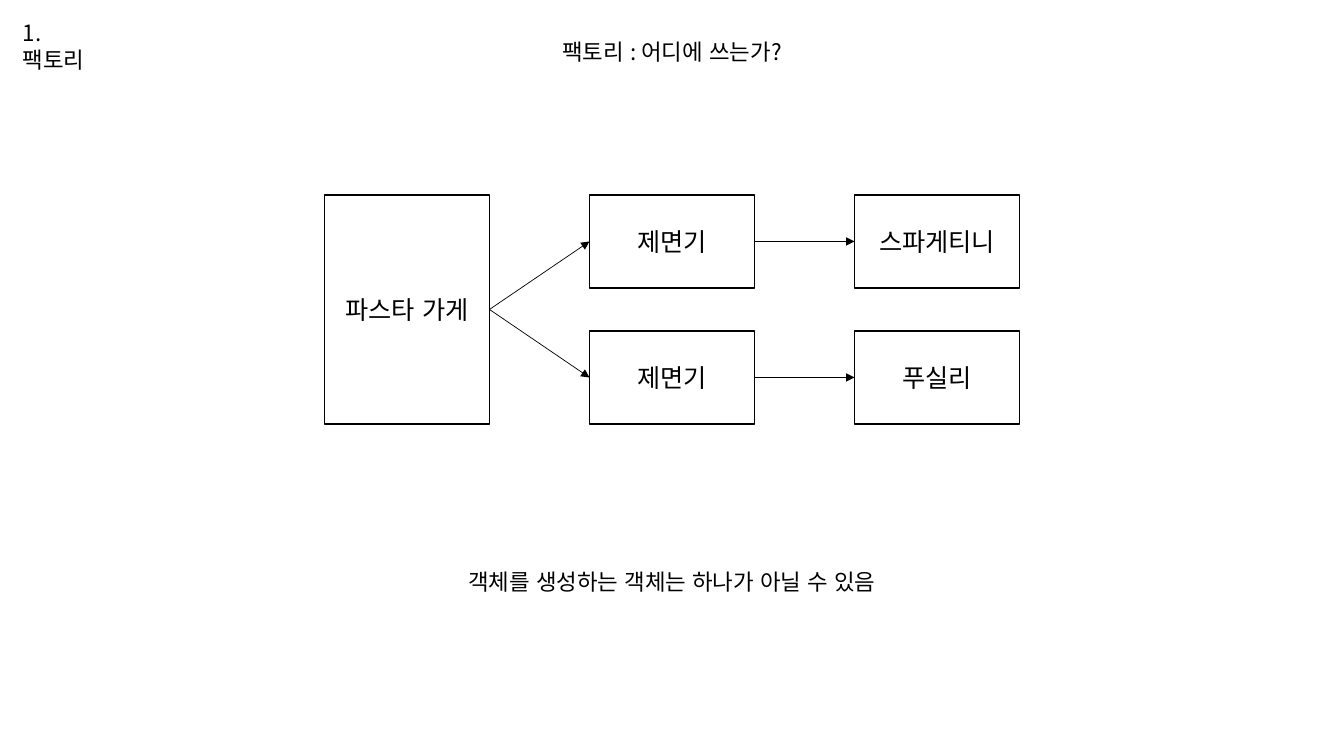
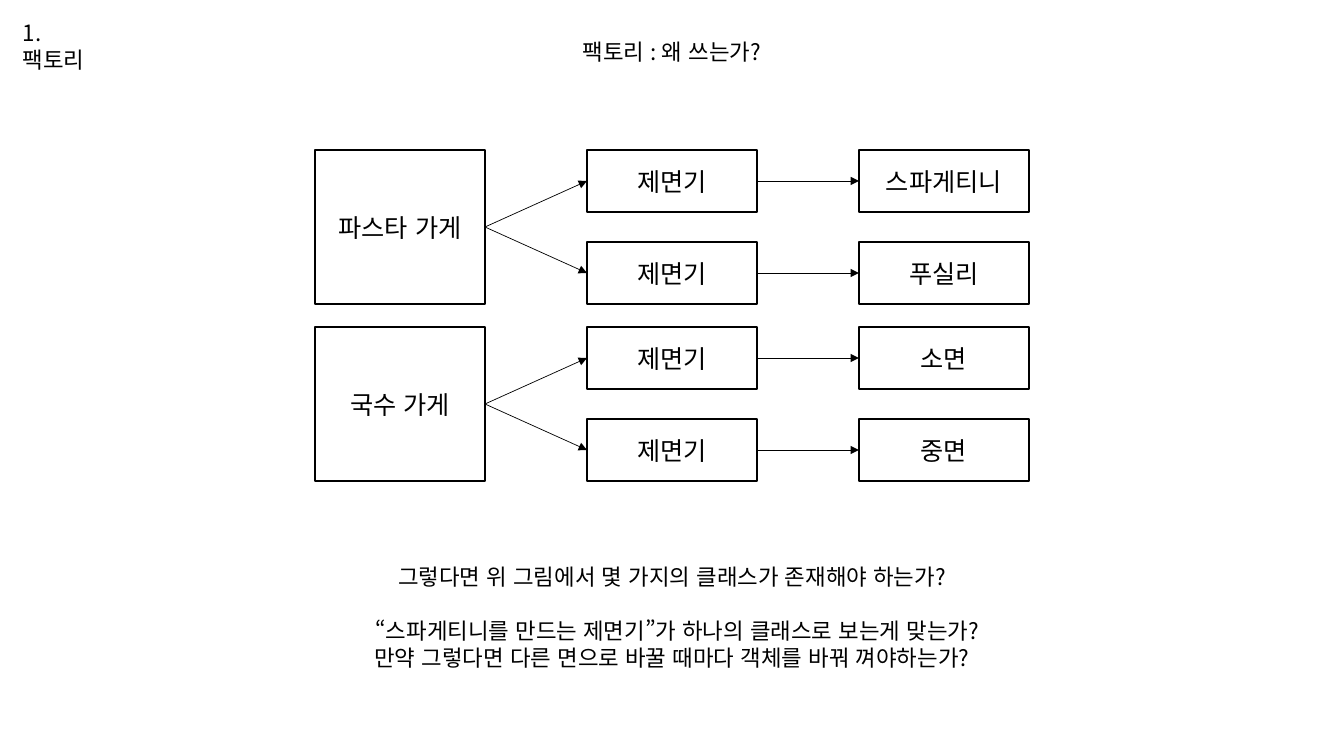
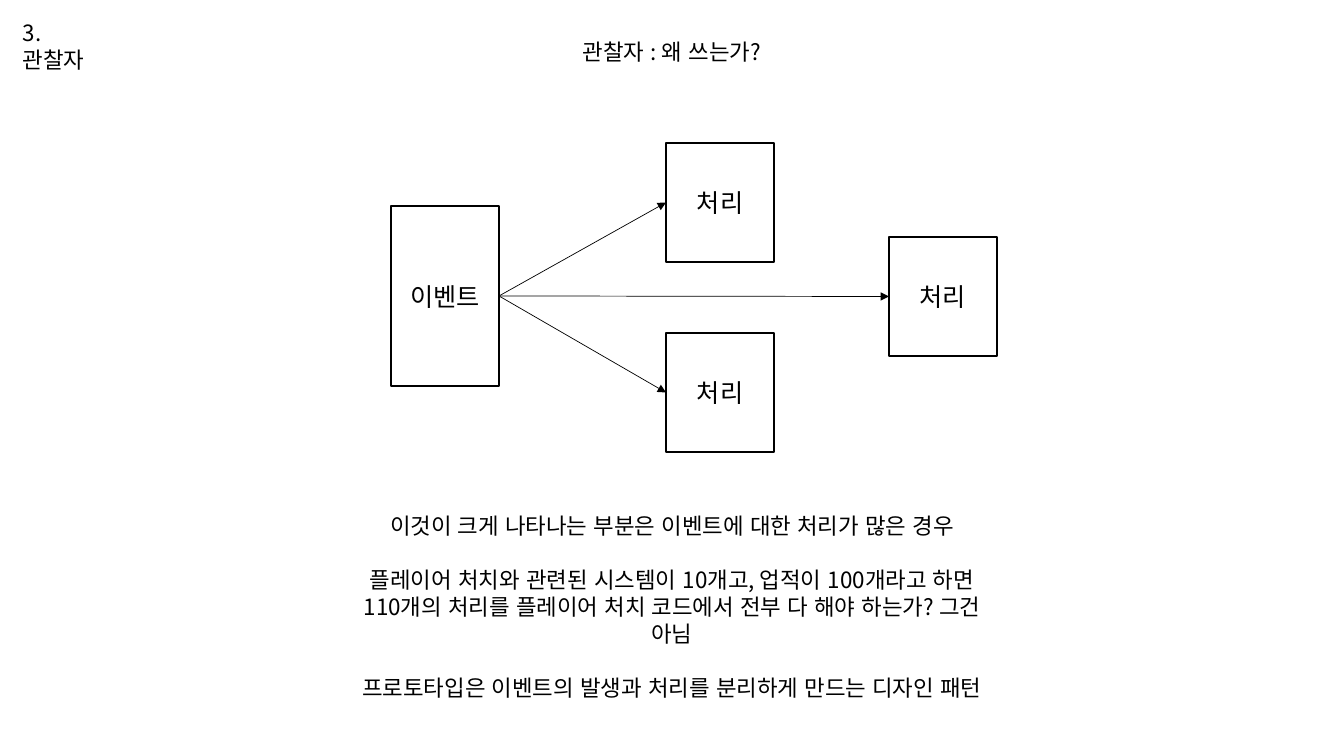
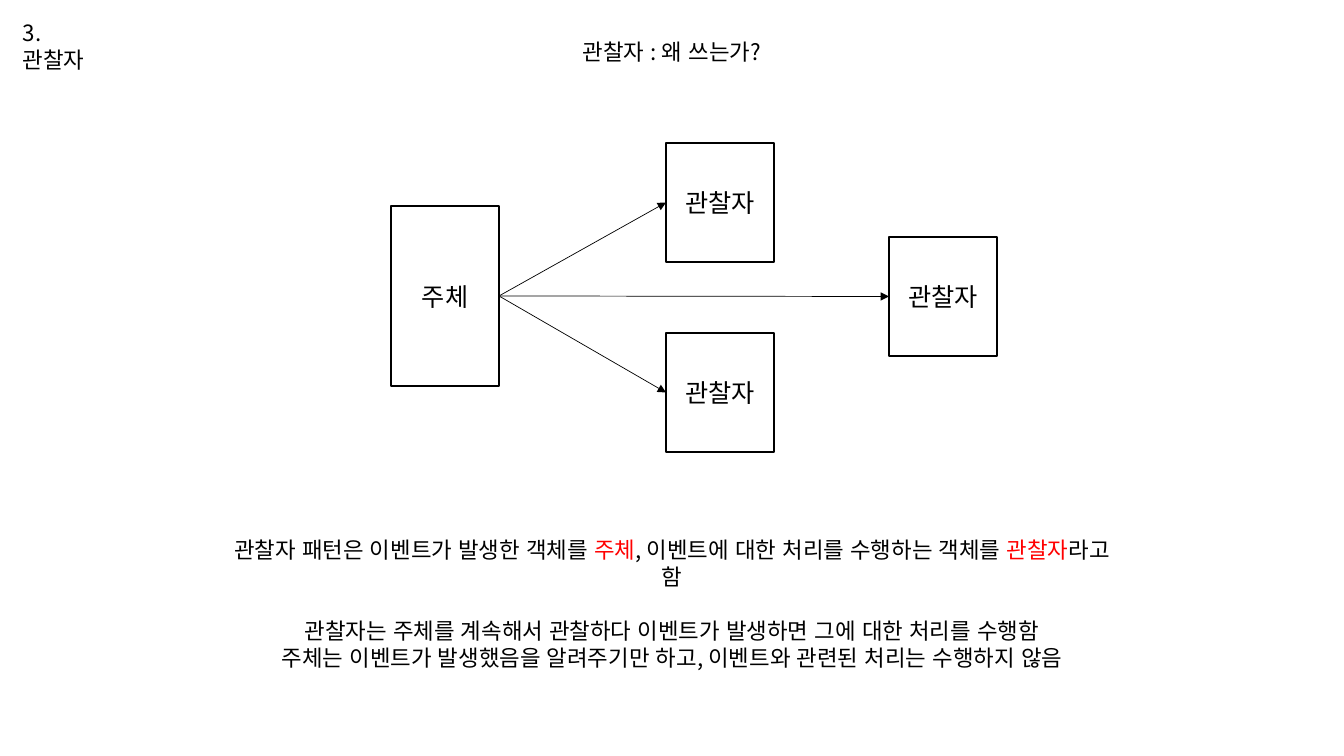
from dataclasses import dataclass

from lxml.etree import SubElement
from pptx import Presentation
from pptx.dml.color import RGBColor
from pptx.enum.lang import MSO_LANGUAGE_ID
from pptx.enum.shapes import MSO_CONNECTOR, MSO_SHAPE
from pptx.enum.text import MSO_ANCHOR, PP_ALIGN
from pptx.oxml.ns import qn
from pptx.util import Emu, Inches, Pt

PIXELS_PER_INCH = 100.8
SLIDE_WIDTH, SLIDE_HEIGHT = 1344, 756
CENTER = SLIDE_WIDTH / 2
LEFT_SITE, RIGHT_SITE = 1, 3


@dataclass(frozen=True)
class Theme:
    """Colours, font and sizes shared by all slides."""
    font: str = "Noto Sans CJK KR"
    ink: RGBColor = RGBColor(0, 0, 0)
    paper: RGBColor = RGBColor(255, 255, 255)
    accent: RGBColor = RGBColor(255, 0, 0)
    body_size: float = 16
    box_size: float = 18
    line_pitch: float = 19.3
    box_line: float = 1
    arrow_line: float = 0.5


THEME = Theme()


def px(pixels):
    """Turn pixels into EMU."""
    return Emu(round(pixels * Inches(1) / PIXELS_PER_INCH))


def write(frame, groups, size=THEME.body_size, align=PP_ALIGN.CENTER,
          anchor=MSO_ANCHOR.TOP, pitch=None):
    """Write groups of lines, one line apart; every second part split by * is accented."""
    frame.word_wrap = True
    frame.vertical_anchor = anchor
    paragraph = None
    for group in groups:
        for index, line in enumerate(group):
            first = paragraph is None
            paragraph = frame.paragraphs[0] if first else frame.add_paragraph()
            paragraph.alignment = align
            if pitch:
                paragraph.line_spacing = Pt(pitch)
                if index == 0 and not first:
                    paragraph.space_before = Pt(pitch)
            for part, text in enumerate(line.split("*")):
                run = paragraph.add_run()
                run.text = text
                font = run.font
                font.size = Pt(size)
                font.name = THEME.font
                font.language_id = MSO_LANGUAGE_ID.KOREAN
                font.color.rgb = THEME.accent if part % 2 else THEME.ink
                SubElement(run.font._element, qn("a:ea"), typeface=THEME.font)


def add_text(slide, left, top, width, height, groups, **text_format):
    """Add a text box with evenly pitched lines."""
    shape = slide.shapes.add_textbox(px(left), px(top), px(width), px(height))
    write(shape.text_frame, groups, pitch=THEME.line_pitch, **text_format)


def add_centered(slide, top, width, height, *groups):
    """Add a text box in the middle of the slide."""
    add_text(slide, CENTER - width / 2, top, width, height, groups)


def add_box(slide, left, top, width, height, label):
    """Add an outlined box with a centred label."""
    shape = slide.shapes.add_shape(
        MSO_SHAPE.RECTANGLE, px(left), px(top), px(width), px(height))
    shape.shadow.inherit = False
    shape.fill.solid()
    shape.fill.fore_color.rgb = THEME.paper
    shape.line.color.rgb = THEME.ink
    shape.line.width = Pt(THEME.box_line)
    write(shape.text_frame, [[label]], size=THEME.box_size, anchor=MSO_ANCHOR.MIDDLE)
    return shape


def add_arrow(slide, source, target):
    """Join the right side of one box to the left side of another."""
    arrow = slide.shapes.add_connector(MSO_CONNECTOR.STRAIGHT, 0, 0, 0, 0)
    arrow.begin_connect(source, RIGHT_SITE)
    arrow.end_connect(target, LEFT_SITE)
    arrow.line.color.rgb = THEME.ink
    arrow.line.width = Pt(THEME.arrow_line)
    SubElement(arrow.line._get_or_add_ln(), qn("a:tailEnd"), type="triangle")
    SubElement(arrow._element.spPr, qn("a:effectLst"))


def add_slide(presentation, chapter, title, title_width):
    """Add a blank slide with its chapter mark and title."""
    slide = presentation.slides.add_slide(presentation.slide_layouts[6])
    add_text(slide, 13, 14, 100, 37, [[chapter]], align=PP_ALIGN.LEFT)
    add_centered(slide, 33, title_width, 37, [title])
    return slide


def add_shop(slide, top, width, height, column_step, row_step, shop, noodles):
    """Add a shop that feeds one noodle machine per kind of noodle."""
    left = CENTER - column_step - width / 2
    shop_height = row_step * (len(noodles) - 1) + height
    shop_box = add_box(slide, left, top, width, shop_height, shop)
    for row, noodle in enumerate(noodles):
        row_top = top + row * row_step
        machine = add_box(slide, left + column_step, row_top, width, height, "제면기")
        product = add_box(slide, left + 2 * column_step, row_top, width, height, noodle)
        add_arrow(slide, shop_box, machine)
        add_arrow(slide, machine, product)


def add_observers(slide, subject, observer):
    """Add a subject with arrows to three observers."""
    width, height = 108, 119
    subject_box = add_box(slide, 391, 206, width, 180, subject)
    for left, top in ((666, 143), (889, 237), (666, 333)):
        add_arrow(slide, subject_box, add_box(slide, left, top, width, height, observer))


def main():
    """Build and save the four slides."""
    presentation = Presentation()
    presentation.slide_width, presentation.slide_height = px(SLIDE_WIDTH), px(SLIDE_HEIGHT)
    factory, observer = "1. 팩토리", "3. 관찰자"

    slide = add_slide(presentation, factory, "팩토리 : 어디에 쓰는가?", 242)
    add_shop(slide, 195, 165, 93, 265, 136, "파스타 가게", ["스파게티니", "푸실리"])
    add_centered(slide, 563, 430, 37, ["객체를 생성하는 객체는 하나가 아닐 수 있음"])

    slide = add_slide(presentation, factory, "팩토리 : 왜 쓰는가?", 204)
    for top, shop, noodles in ((150, "파스타 가게", ["스파게티니", "푸실리"]),
                               (327, "국수 가게", ["소면", "중면"])):
        add_shop(slide, top, 170, 62, 272, 92, shop, noodles)
    add_centered(
        slide, 558, 617, 119,
        ["그렇다면 위 그림에서 몇 가지의 클래스가 존재해야 하는가?"],
        ["“스파게티니를 만드는 제면기”가 하나의 클래스로 보는게 맞는가?",
         "만약 그렇다면 다른 면으로 바꿀 때마다 객체를 바꿔 껴야하는가?"])

    slide = add_slide(presentation, observer, "관찰자 : 왜 쓰는가?", 204)
    add_observers(slide, "이벤트", "처리")
    add_centered(
        slide, 507, 682, 173,
        ["이것이 크게 나타나는 부분은 이벤트에 대한 처리가 많은 경우"],
        ["플레이어 처치와 관련된 시스템이 10개고, 업적이 100개라고 하면",
         "110개의 처리를 플레이어 처치 코드에서 전부 다 해야 하는가? 그건 아님"],
        ["프로토타입은 이벤트의 발생과 처리를 분리하게 만드는 디자인 패턴"])

    slide = add_slide(presentation, observer, "관찰자 : 왜 쓰는가?", 204)
    add_observers(slide, "주체", "관찰자")
    add_centered(
        slide, 531, 913, 119,
        ["관찰자 패턴은 이벤트가 발생한 객체를 *주체*, 이벤트에 대한 처리를 "
         "수행하는 객체를 *관찰자*라고 함"],
        ["관찰자는 주체를 계속해서 관찰하다 이벤트가 발생하면 그에 대한 처리를 수행함",
         "주체는 이벤트가 발생했음을 알려주기만 하고, 이벤트와 관련된 처리는 수행하지 않음"])

    presentation.save("out.pptx")


main()
